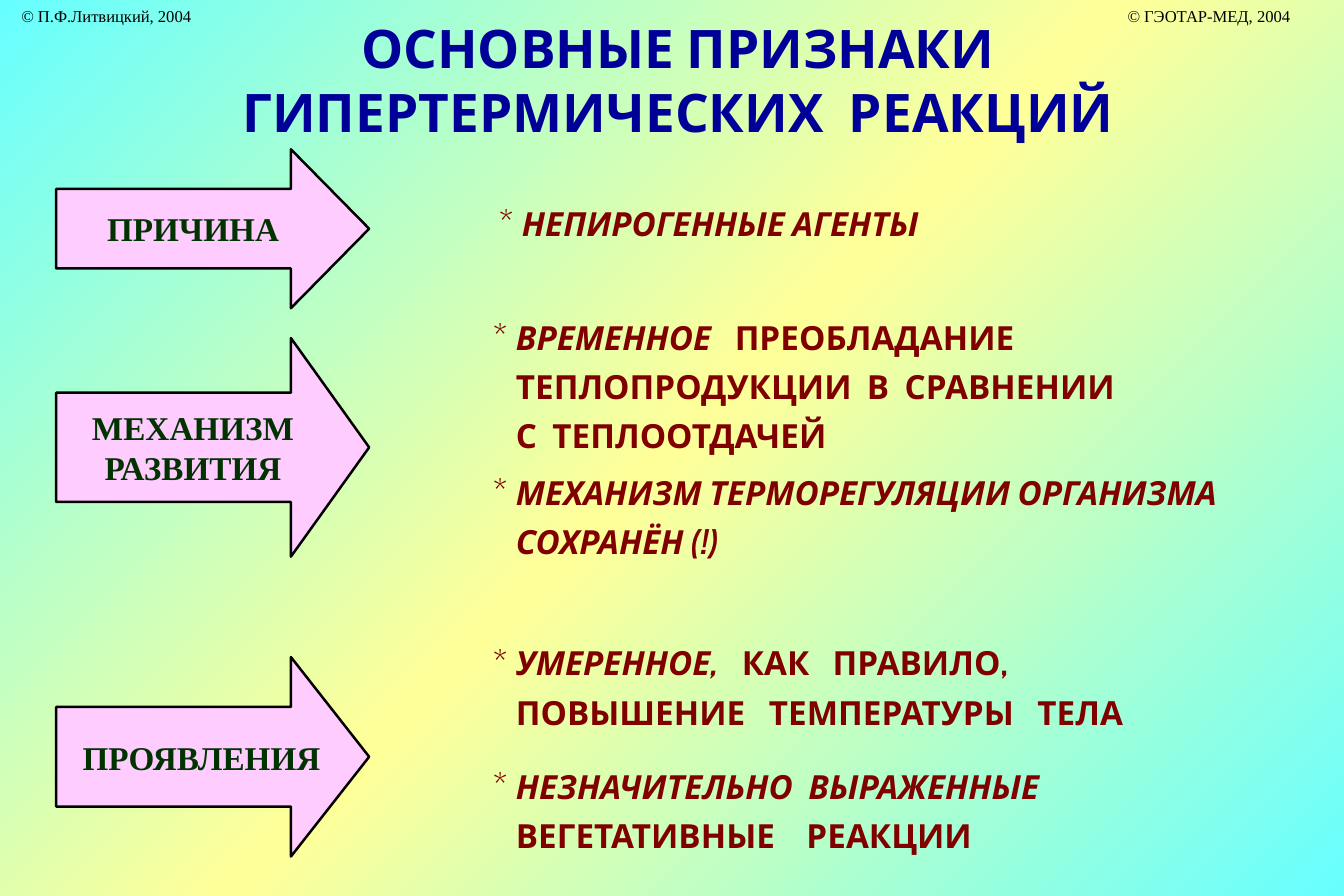
from pptx import Presentation
from pptx import util as u
from pptx.dml.color import RGBColor
from pptx.enum import shapes, text
from pptx.oxml import parse_xml
from pptx.oxml.ns import nsdecls
from lxml import etree

THEME = {
    "sans": "Cabin", "serif": "Times New Roman",
    "title": "000099", "body": "800000", "label": "003300", "note": "000000",
    "arrow": "FFCCFF", "edge": "000000",
    "back": [(0, "66FFFF"), (50, "FFFF99"), (100, "66FFFF")],
    "big": 32, "mid": 20, "small": 10,
}
STYLES = {
    "title": {"name": THEME["sans"], "size": u.Pt(THEME["big"]), "bold": True},
    "body": {"name": THEME["sans"], "size": u.Pt(THEME["mid"]), "bold": True},
    "label": {"name": THEME["serif"], "size": u.Pt(THEME["mid"]), "bold": True},
    "note": {"name": THEME["serif"], "size": u.Pt(THEME["small"]), "bold": False},
}

# Runs are (text, italic, width of each gap in spaces).
TITLE = [("ОСНОВНЫЕ ПРИЗНАКИ ГИПЕРТЕРМИЧЕСКИХ", False, 1), (" РЕАКЦИЙ", False, 2)]
NOTE = "© П.Ф.Литвицкий, 2004\t© ГЭОТАР-МЕД, 2004"

# Arrows: top, height, left inset, lines
ARROWS = [
    (1.25, 1.33, 0.1, ["ПРИЧИНА"]),
    (2.83, 1.83, 0.1, ["МЕХАНИЗМ", "РАЗВИТИЯ"]),
    (5.5, 1.67, 0.24, ["ПРОЯВЛЕНИЯ"]),
]

# Signs: left, top, width, height, lines of (line spacing, runs)
SIGNS = [
    (4.08, 1.65, 5.25, 0.44, [(1.0, [("НЕПИРОГЕННЫЕ АГЕНТЫ", True, 1)])]),
    (4.03, 2.7, 6.47, 1.15, [
        (0.7, [("ВРЕМЕННОЕ", True, 1), (" ПРЕОБЛАДАНИЕ", False, 3)]),
        (0.7, [("ТЕПЛОПРОДУКЦИИ В СРАВНЕНИИ", False, 2)]),
        (0.7, [("С ТЕПЛООТДАЧЕЙ", False, 2)])]),
    (4.03, 4.0, 6.89, 0.74, [
        (0.7, [("МЕХАНИЗМ ТЕРМОРЕГУЛЯЦИИ ОРГАНИЗМА", True, 1)]),
        (0.7, [("СОХРАНЁН (!)", True, 1)])]),
    (4.03, 5.33, 6.94, 0.84, [
        (1.0, [("УМЕРЕННОЕ,", True, 1), (" КАК ПРАВИЛО,", False, 3)]),
        (0.7, [("ПОВЫШЕНИЕ ТЕМПЕРАТУРЫ ТЕЛА", False, 3)])]),
    (4.03, 6.43, 5.34, 0.78, [
        (0.8, [("НЕЗНАЧИТЕЛЬНО ВЫРАЖЕННЫЕ", True, 2)]),
        (0.7, [("ВЕГЕТАТИВНЫЕ РЕАКЦИИ", False, 4)])]),
]
ARROW_LEFT, ARROW_WIDE = 0.47, 2.62
INDENT = 0.19
SPACE = 0.24  # width of a space, in ems
NOTE_TAB = 9.26


def color(key):
    return RGBColor.from_string(THEME[key])


def paint(slide):
    """Fill the background with the diagonal gradient."""
    fill = slide.background.fill
    fill.gradient()
    fill.gradient_angle = 315
    stops = fill.gradient_stops[0]._gs.getparent()
    for stop in list(stops):
        stops.remove(stop)
    for pos, tint in THEME["back"]:
        stops.append(parse_xml(
            f'<a:gs {nsdecls("a")} pos="{pos * 1000}"><a:srgbClr val="{tint}"/></a:gs>'))


def add_run(para, words, style, italic=False):
    run = para.add_run()
    run.text = words
    for key, val in STYLES[style].items():
        setattr(run.font, key, val)
    run.font.italic = italic
    run.font.color.rgb = color(style)
    return run


def add_runs(para, runs, style):
    """Add runs, widening single spaces where a gap is larger."""
    for words, italic, gap in runs:
        if gap == 1:
            add_run(para, words, style, italic)
            continue
        for i, word in enumerate(words.split(" ")):
            if i:
                blank = add_run(para, " ", style, italic)
                extra = (gap - 1) * SPACE * STYLES[style]["size"].pt
                blank.font._element.set("spc", str(round(extra * 100)))
            if word:
                add_run(para, word, style, italic)


def add_tag(para, xml):
    para._p.get_or_add_pPr().append(parse_xml(xml))


def add_text(slide, *box):
    frame = slide.shapes.add_textbox(*map(u.Inches, box)).text_frame
    frame.word_wrap = True
    frame.auto_size = text.MSO_AUTO_SIZE.SHAPE_TO_FIT_TEXT
    return frame


def lines(frame, items):
    """Yield a paragraph of the frame for each item."""
    for i, item in enumerate(items):
        yield i, frame.add_paragraph() if i else frame.paragraphs[0], item


def add_arrow(slide, top, high, inset, words):
    arrow = slide.shapes.add_shape(
        shapes.MSO_SHAPE.RIGHT_ARROW,
        *map(u.Inches, (ARROW_LEFT, top, ARROW_WIDE, high)))
    arrow.adjustments[1] = ARROW_WIDE / 4 / high
    arrow.shadow.inherit = False
    arrow.fill.solid()
    arrow.fill.fore_color.rgb = color("arrow")
    arrow.line.color.rgb = color("edge")
    arrow.line.width = u.Pt(1.5)
    frame = arrow.text_frame
    frame.word_wrap = False
    frame.margin_left = u.Inches(inset)
    frame.vertical_anchor = text.MSO_ANCHOR.MIDDLE
    for _, para, word in lines(frame, words):
        para.alignment = text.PP_ALIGN.CENTER
        add_run(para, word, "label")


def add_sign(slide, left, top, wide, high, items):
    frame = add_text(slide, left, top, wide, high)
    for i, para, (gap, runs) in lines(frame, items):
        para.line_spacing = gap
        para.space_before = u.Pt(12.5 if i else 0)
        props = para._p.get_or_add_pPr()
        props.set("marL", str(u.Inches(INDENT)))
        props.set("indent", str(0 if i else -u.Inches(INDENT)))
        if i:
            add_tag(para, f'<a:buNone {nsdecls("a")}/>')
        else:
            add_tag(para, f'<a:buFont {nsdecls("a")} typeface="{THEME["sans"]}"/>')
            add_tag(para, f'<a:buChar {nsdecls("a")} char="*"/>')
        add_runs(para, runs, "body")


def main():
    deck = Presentation()
    deck.slide_width, deck.slide_height = u.Inches(11.25), u.Inches(7.5)
    slide = deck.slides.add_slide(deck.slide_layouts[6])
    paint(slide)
    para = add_text(slide, 1.22, 0.08, 8.91, 1.17).paragraphs[0]
    para.alignment = text.PP_ALIGN.CENTER
    add_runs(para, TITLE, "title")
    for arrow in ARROWS:
        add_arrow(slide, *arrow)
    for sign in SIGNS:
        add_sign(slide, *sign)
    para = add_text(slide, 0.08, 0, 11.17, 0.27).paragraphs[0]
    add_tag(para, f'<a:tabLst {nsdecls("a")}><a:tab pos="{u.Inches(NOTE_TAB)}" algn="l"/></a:tabLst>')
    add_run(para, NOTE, "note")
    deck.save("out.pptx")


if __name__ == "__main__":
    main()
